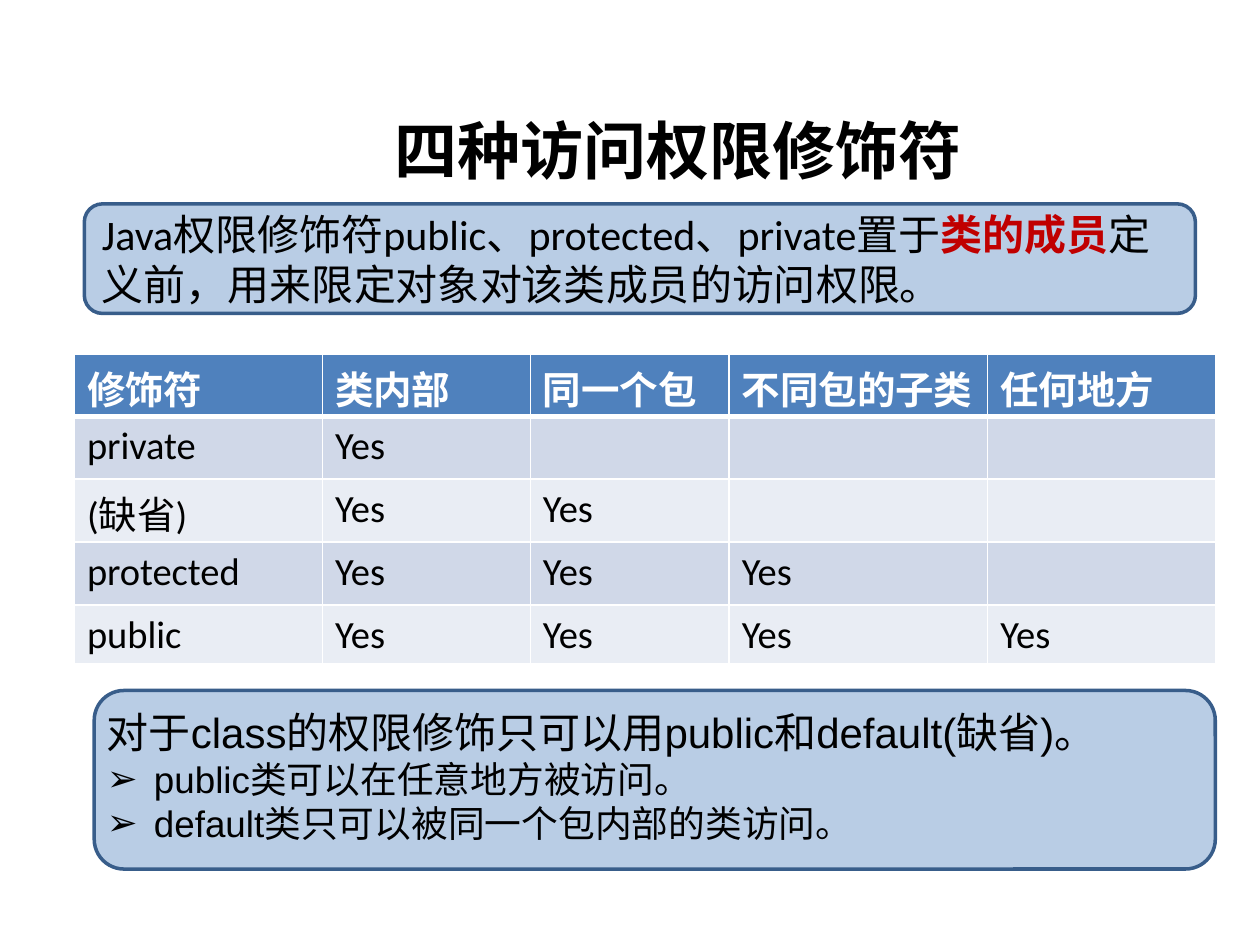
import pptx
import pptx.dml.color
import pptx.enum.shapes
import pptx.enum.text
import pptx.oxml
import pptx.oxml.ns
import pptx.util
from lxml import etree
from pptx.util import Cm

BLACK = pptx.dml.color.RGBColor(0x00, 0x00, 0x00)
WHITE = pptx.dml.color.RGBColor(0xFF, 0xFF, 0xFF)
RED = pptx.dml.color.RGBColor(0xC0, 0x00, 0x00)
PANEL_FILL = pptx.dml.color.RGBColor(0xB9, 0xCD, 0xE5)
PANEL_LINE = pptx.dml.color.RGBColor(0x38, 0x5D, 0x8A)
HEADER_FILL = pptx.dml.color.RGBColor(0x4F, 0x81, 0xBD)
BAND_FILLS = (
    pptx.dml.color.RGBColor(0xD0, 0xD8, 0xE8),
    pptx.dml.color.RGBColor(0xE9, 0xED, 0xF4),
)
CHINESE_FONT = "Noto Sans CJK SC"

COLUMN_WIDTHS = (5.0, 4.19, 4.01, 5.21, 4.6)
ROW_HEIGHTS = (1.19, 1.27, 1.27, 1.27, 1.19)
HEADERS = ("修饰符", "类内部", "同一个包", "不同包的子类", "任何地方")
MODIFIERS = ("private", "(缺省)", "protected", "public")


def add_element(parent, tag, **attributes):
    return etree.SubElement(parent, pptx.oxml.ns.qn(tag), attributes)


def format_paragraph(paragraph, size, name, color=BLACK, bold=False):
    paragraph.alignment = pptx.enum.text.PP_ALIGN.LEFT
    paragraph.space_before = pptx.util.Pt(0)
    font = paragraph.font
    font.size = pptx.util.Pt(size)
    font.bold = bold
    font.color.rgb = color
    font.name = name
    add_element(font._element, "a:ea", typeface=CHINESE_FONT)


def place(shape, left, top, width, height):
    shape.left, shape.top = Cm(left), Cm(top)
    shape.width, shape.height = Cm(width), Cm(height)


def add_panel(slide, left, top, width, height):
    panel = slide.shapes.add_shape(
        pptx.enum.shapes.MSO_SHAPE.ROUNDED_RECTANGLE,
        Cm(left), Cm(top), Cm(width), Cm(height),
    )
    panel.shadow.inherit = False
    panel.fill.solid()
    panel.fill.fore_color.rgb = PANEL_FILL
    panel.line.color.rgb = PANEL_LINE
    panel.line.width = pptx.util.Pt(2)
    return panel


def fill_title(title):
    place(title, 7.7, 2.13, 12.6, 1.8)
    title.text_frame.text = "四种访问权限修饰符"
    title.text_frame.vertical_anchor = pptx.enum.text.MSO_ANCHOR.TOP
    format_paragraph(title.text_frame.paragraphs[0], 36, "Arial", bold=True)


def add_summary(slide):
    panel = add_panel(slide, 1.7, 4.11, 22.4, 2.21)
    panel.text_frame.vertical_anchor = pptx.enum.text.MSO_ANCHOR.MIDDLE
    paragraph = panel.text_frame.paragraphs[0]
    format_paragraph(paragraph, 24, "Calibri")
    for text, color, bold in (
        ("Java权限修饰符public、protected、private置于", BLACK, False),
        ("类的成员", RED, True),
        ("定义前，用来限定对象对该类成员的访问权限。", BLACK, False),
    ):
        run = paragraph.add_run()
        run.text = text
        run.font.color.rgb = color
        run.font.bold = bold


def set_bullet(paragraph, character=None):
    properties = paragraph._p.get_or_add_pPr()
    indent = Cm(0.95) if character else 0
    properties.set("marL", str(indent))
    properties.set("indent", str(-indent))
    if character:
        add_element(properties, "a:buFont", typeface="Arial")
        add_element(properties, "a:buChar", char=character)
    else:
        add_element(properties, "a:buNone")


def fill_class_rules(body):
    place(body, 1.9, 14.12, 22.6, 3.18)
    frame = body.text_frame
    frame.text = (
        "对于class的权限修饰只可以用public和default(缺省)。\n"
        "public类可以在任意地方被访问。\n"
        "default类只可以被同一个包内部的类访问。"
    )
    for index, paragraph in enumerate(frame.paragraphs):
        set_bullet(paragraph, "➢" if index else None)
        format_paragraph(paragraph, 21 if index else 24, "Arial")


def set_borders(cell, top, bottom):
    properties = cell._tc.get_or_add_tcPr()
    for side, width in (("L", 1), ("R", 1), ("T", top), ("B", bottom)):
        line = add_element(properties, "a:ln" + side, w=str(pptx.util.Pt(width)))
        fill = add_element(line, "a:solidFill")
        add_element(fill, "a:srgbClr", val=str(WHITE))


def add_access_table(slide):
    rows = [HEADERS]
    for count, modifier in enumerate(MODIFIERS, start=1):
        rows.append((modifier,) + ("Yes",) * count + ("",) * (4 - count))
    table = slide.shapes.add_table(
        len(rows), len(HEADERS), Cm(1.5), Cm(7.14),
        Cm(sum(COLUMN_WIDTHS)), Cm(sum(ROW_HEIGHTS)),
    ).table
    for column, width in zip(table.columns, COLUMN_WIDTHS):
        column.width = Cm(width)
    for row_index, texts in enumerate(rows):
        table.rows[row_index].height = Cm(ROW_HEIGHTS[row_index])
        header = row_index == 0
        for column_index, text in enumerate(texts):
            cell = table.cell(row_index, column_index)
            set_borders(cell, 3 if row_index == 1 else 1, 3 if header else 1)
            cell.fill.solid()
            cell.fill.fore_color.rgb = (
                HEADER_FILL if header else BAND_FILLS[(row_index - 1) % 2]
            )
            cell.margin_bottom = 0
            cell.text = text
            format_paragraph(
                cell.text_frame.paragraphs[0], 22,
                CHINESE_FONT if header else "Calibri",
                WHITE if header else BLACK, header,
            )


def main():
    presentation = pptx.Presentation()
    presentation.slide_width, presentation.slide_height = Cm(25.4), Cm(19.05)
    slide = presentation.slides.add_slide(presentation.slide_layouts[1])
    rules_panel = add_panel(slide, 1.9, 13.92, 22.6, 3.6)
    slide.shapes.title._element.addprevious(rules_panel._element)
    fill_title(slide.shapes.title)
    fill_class_rules(slide.placeholders[1])
    add_summary(slide)
    add_access_table(slide)
    presentation.save("out.pptx")


if __name__ == "__main__":
    main()
